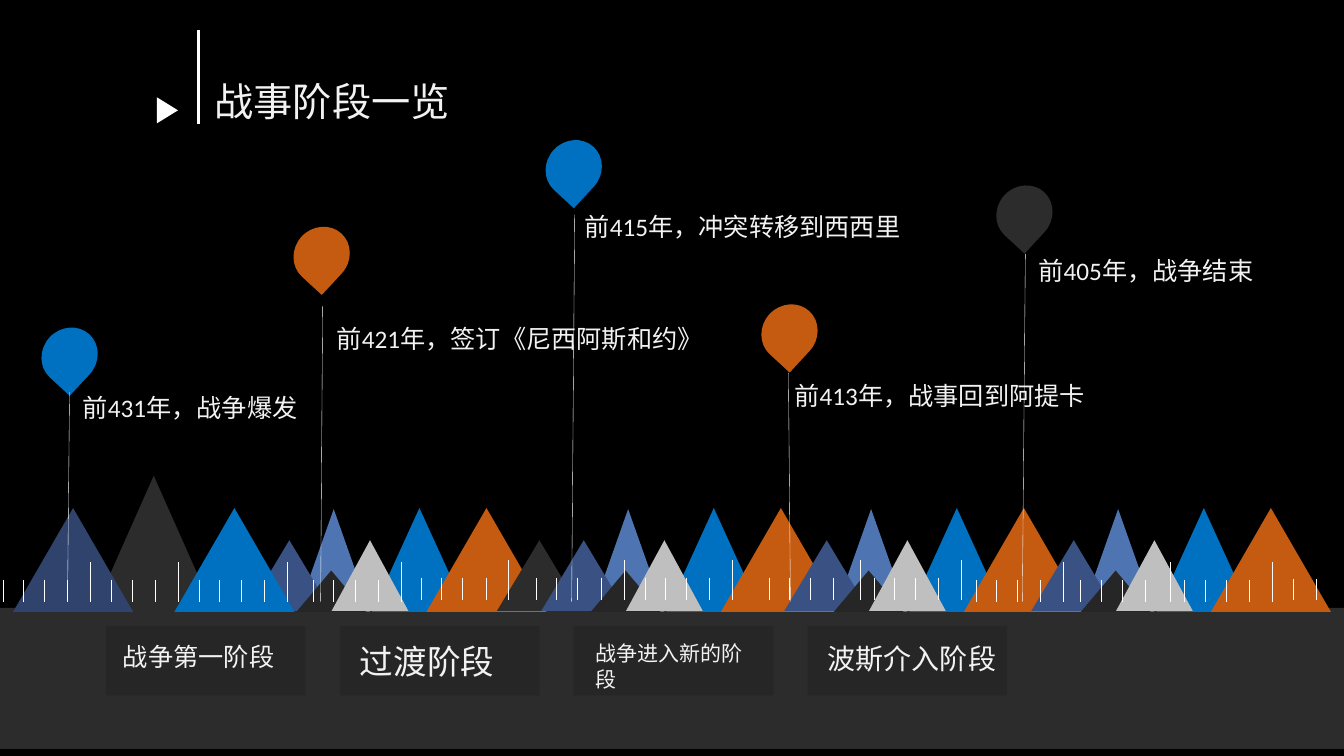
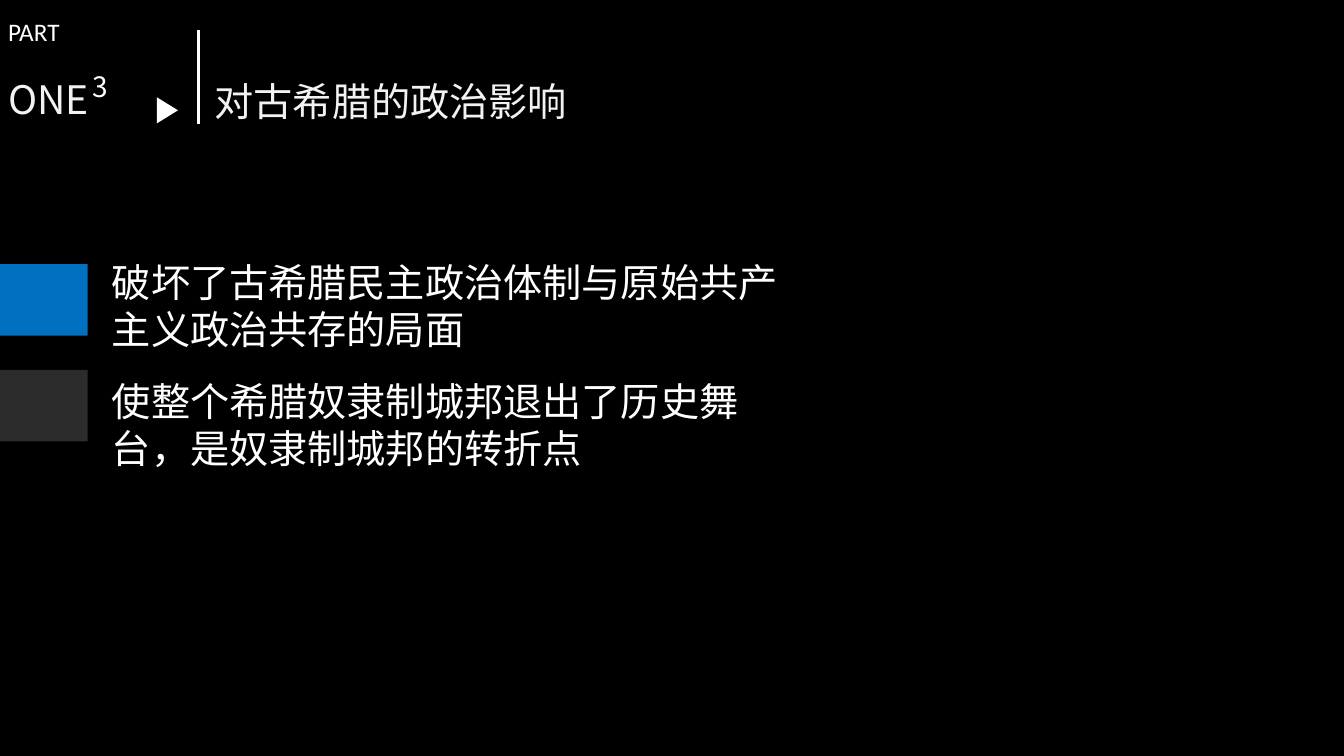
import itertools

import lxml.etree
import pptx
import pptx.dml.color
import pptx.enum.shapes
import pptx.enum.text
import pptx.oxml.ns
import pptx.util

Inches = pptx.util.Inches
Preset = pptx.enum.shapes.MSO_SHAPE
qn = pptx.oxml.ns.qn

# Shared palette and fonts
BLACK, WHITE, PALE = "000000", "FFFFFF", "F2F2F2"
BLUE, ORANGE, SILVER = "0070C0", "C55A11", "BFBFBF"
CHARCOAL, COAL = "2C2C2C", "262626"
NAVY, INDIGO, STEEL = "2F436D", "3A5183", "4E74B1"
BODY_FONT, TITLE_FONT = "Calibri", "Noto Sans CJK KR"

# Map pin: a drop in units of its half size, as cubic curves from the left point
PIN_HALF_WIDTH, PIN_HALF_HEIGHT, PIN_TURN = 0.29, 0.27, 132.8
PIN_POINTS = [
    (-1, 0),
    (-1, -0.55), (-0.55, -1), (0, -1),
    (0.33, -1), (0.67, -1), (1, -1),
    (1, -0.67), (1, -0.33), (1, 0),
    (1, 0.55), (0.55, 1), (0, 1),
    (-0.55, 1), (-1, 0.55), (-1, 0),
]


def rgb(code):
    return pptx.dml.color.RGBColor.from_string(code)


def curve_segments(outline):
    """Turn every three straight segments of a freeform into one cubic curve."""
    segments = list(outline._element.iter(qn("a:lnTo")))
    for triple in itertools.zip_longest(*[iter(segments)] * 3):
        curve = lxml.etree.Element(qn("a:cubicBezTo"))
        triple[0].addprevious(curve)
        for segment in triple:
            curve.append(segment[0])
            segment.getparent().remove(segment)


class Deck:
    def __init__(self):
        self.show = pptx.Presentation()
        self.show.slide_width = Inches(13.33)
        self.show.slide_height = Inches(7.5)
        self.slide = None

    def new_slide(self, title):
        self.slide = self.show.slides.add_slide(self.show.slide_layouts[6])
        self.slide.background.fill.solid()
        self.slide.background.fill.fore_color.rgb = rgb(BLACK)
        self.shape(Preset.ISOSCELES_TRIANGLE, 1.53, 0.99, 0.26, 0.21, WHITE, 90)
        self.line(1.97, 0.3, 1.97, 1.23, 2.25)
        self.text(title, 2.08, 0.72, 5.4, 0.66, 28, font=TITLE_FONT)

    def paint(self, item, color, turn=0):
        item.shadow.inherit = False
        item.fill.solid()
        item.fill.fore_color.rgb = rgb(color)
        item.line.fill.background()
        item.rotation = turn

    def shape(self, preset, left, top, width, height, color, turn=0):
        item = self.slide.shapes.add_shape(
            preset, Inches(left), Inches(top), Inches(width), Inches(height))
        self.paint(item, color, turn)

    def rect(self, left, top, width, height, color):
        self.shape(Preset.RECTANGLE, left, top, width, height, color)

    def peak(self, left, top, width, height, color):
        self.shape(Preset.ISOSCELES_TRIANGLE, left, top, width, height, color)

    def pin(self, x, y, color):
        points = [(Inches(x + PIN_HALF_WIDTH * dx), Inches(y + PIN_HALF_HEIGHT * dy))
                  for dx, dy in PIN_POINTS]
        builder = self.slide.shapes.build_freeform(*points[0])
        builder.add_line_segments(points[1:], close=False)
        drop = builder.convert_to_shape()
        curve_segments(drop)
        outline = next(drop._element.iter(qn("a:path")))
        lxml.etree.SubElement(outline, qn("a:close"))
        self.paint(drop, color, PIN_TURN)

    def line(self, x1, y1, x2, y2, weight):
        item = self.slide.shapes.add_connector(
            pptx.enum.shapes.MSO_CONNECTOR.STRAIGHT,
            Inches(x1), Inches(y1), Inches(x2), Inches(y2))
        item.line.color.rgb = rgb(WHITE)
        item.line.width = pptx.util.Pt(weight)
        lxml.etree.SubElement(item._element.spPr, qn("a:effectLst"))

    def text(self, words, left, top, width, height, size, color=PALE, font=BODY_FONT):
        box = self.slide.shapes.add_textbox(
            Inches(left), Inches(top), Inches(width), Inches(height))
        frame = box.text_frame
        frame.word_wrap = True
        frame.auto_size = pptx.enum.text.MSO_AUTO_SIZE.SHAPE_TO_FIT_TEXT
        frame.margin_left = frame.margin_right = Inches(0.05)
        frame.margin_top = frame.margin_bottom = Inches(0.05)
        frame.text = words
        paragraph = frame.paragraphs[0]
        # Punctuation stays inside the box
        paragraph._element.get_or_add_pPr().set("hangingPunct", "0")
        run = paragraph.runs[0]
        run.font.size = pptx.util.Pt(size)
        run.font.name = font
        run.font.color.rgb = rgb(color)
        east_asian = lxml.etree.SubElement(run.font._element, qn("a:ea"))
        east_asian.set("typeface", TITLE_FONT)


deck = Deck()

# Slide 1: stages of the war
deck.new_slide("战事阶段一览")
deck.rect(0, 6.03, 13.33, 1.4, CHARCOAL)
for column in range(4):
    deck.rect(1.05 + 2.32 * column, 6.21, 1.98, 0.69, COAL)

# Mountain range: one ridge repeated, with extra peaks at the left
RIDGE_BACK = [
    (3.69, 5.04, 0.94, 1.03, BLUE),
    (2.95, 5.05, 0.72, 1.02, STEEL),
    (2.45, 5.36, 0.84, 0.70, INDIGO),
]
LEFT_PEAKS = [
    (0.93, 4.72, 1.19, 1.34, CHARCOAL),
    (0.13, 5.04, 1.19, 1.03, NAVY),
    (1.73, 5.04, 1.19, 1.03, BLUE),
]
RIDGE_FRONT = [
    (2.94, 5.66, 0.69, 0.41, COAL),
    (3.29, 5.36, 0.76, 0.70, SILVER),
    (4.23, 5.04, 1.19, 1.03, ORANGE),
]
MIDDLE_PEAK = (4.93, 5.36, 0.84, 0.70, CHARCOAL)
FULL_RIDGE = RIDGE_BACK + RIDGE_FRONT
for peak in RIDGE_BACK + LEFT_PEAKS + RIDGE_FRONT + [MIDDLE_PEAK]:
    deck.peak(*peak)
for shift in (2.92, 5.33, 7.78):
    for left, *rest in FULL_RIDGE:
        deck.peak(left + shift, *rest)

# Events: pin centre, colour, stem top and foot, label place and words
EVENTS = [
    (0.69, 3.53, BLUE, (0.69, 3.89, 0.67), (0.77, 3.84, 3.83), "前431年，战争爆发"),
    (3.19, 2.53, ORANGE, (3.20, 3.04, 3.18), (3.29, 3.16, 3.83),
     "前421年，签订《尼西阿斯和约》"),
    (5.69, 1.67, BLUE, (5.70, 2.13, 5.67), (5.75, 2.05, 3.83),
     "前415年，冲突转移到西西里"),
    (7.83, 3.30, ORANGE, (7.82, 3.70, 7.84), (7.83, 3.72, 3.83),
     "前413年，战事回到阿提卡"),
    (10.16, 2.12, CHARCOAL, (10.17, 2.52, 10.14), (10.25, 2.48, 2.37),
     "前405年，战争结束"),
]
for x, y, color, (stem_x, stem_top, foot_x), label, words in EVENTS:
    deck.pin(x, y, color)
    deck.line(stem_x, stem_top, foot_x, 5.97, 0.25)
    deck.text(words, *label, 0.45, 18)

# Ruler: four short ticks and a tall one from each start
SHORT_TICKS = (0, 0.2, 0.41, 0.64)
RULER = [  # start, offset of the tall tick, foot
    (0.03, 0.87, 5.97), (0.9, 0.87, 5.97), (1.98, 0.87, 5.97), (3.11, 0.87, 5.97),
    (4.18, 0.86, 5.95), (5.32, 0.87, 5.95), (6.4, 0.86, 5.95), (7.63, 0.9, 5.95),
    (8.67, 0.87, 5.95), (9.68, 0.87, 5.97), (10.72, 0.89, 5.97), (11.75, 0.87, 5.97),
]
for start, tall, foot in RULER:
    for offset in SHORT_TICKS:
        deck.line(start + offset, foot - 0.22, start + offset, foot, 0.5)
    deck.line(start + tall, foot - 0.39, start + tall, foot, 0.5)
for x in (12.62, 12.83, 13.06):
    deck.line(x, 5.74, x, 5.95, 0.5)

# Stage captions
for words, left, width, height, size in [
    ("战争第一阶段", 1.17, 1.63, 0.45, 18),
    ("过渡阶段", 3.52, 1.72, 0.56, 24),
    ("战争进入新的阶段", 5.86, 1.69, 0.68, 15),
    ("波斯介入阶段", 8.16, 1.82, 0.49, 20),
]:
    deck.text(words, left, 6.31, width, height, size)

# Slide 2: political effects
deck.new_slide("对古希腊的政治影响")
deck.text("PART", 0.03, 0.11, 5.51, 0.77, 18, WHITE)
deck.text("3", 0.87, 0.64, 0.68, 0.43, 20, WHITE, TITLE_FONT)
deck.text("ONE", 0.03, 0.7, 1.08, 0.57, 28, font=TITLE_FONT)
for words, text_top, block_top, color in [
    ("破坏了古希腊民主政治体制与原始共产主义政治共存的局面", 2.51, 2.62, BLUE),
    ("使整个希腊奴隶制城邦退出了历史舞台，是奴隶制城邦的转折点", 3.69, 3.67, CHARCOAL),
]:
    deck.text(words, 1.06, text_top, 7.01, 1.21, 28, WHITE)
    deck.rect(0, block_top, 0.87, 0.71, color)

deck.show.save("out.pptx")
